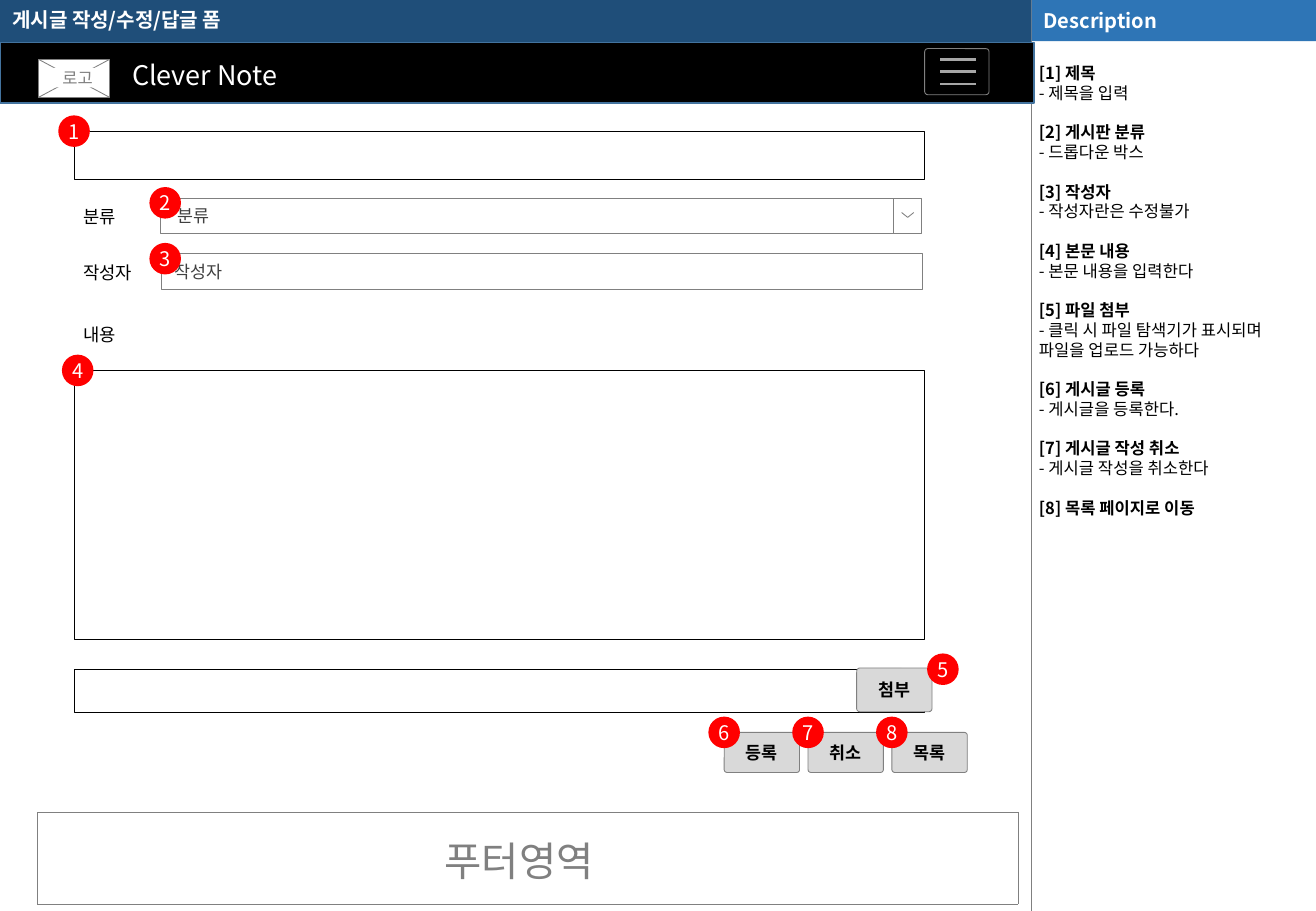
from typing import NamedTuple

from lxml import etree
from pptx import Presentation
from pptx.dml.color import RGBColor
from pptx.enum.shapes import MSO_CONNECTOR, MSO_SHAPE as Shape
from pptx.enum.text import MSO_ANCHOR as Anchor, MSO_AUTO_SIZE, PP_ALIGN as Align
from pptx.oxml.ns import qn
from pptx.util import Inches, Pt

FONT = "Noto Sans CJK KR"
WHITE = RGBColor(0xFF, 0xFF, 0xFF)
BLACK = RGBColor(0x00, 0x00, 0x00)
NAVY = RGBColor(0x1F, 0x4E, 0x79)
BLUE = RGBColor(0x2E, 0x75, 0xB6)
EDGE_BLUE = RGBColor(0x43, 0x73, 0x9E)
GRAY = RGBColor(0x80, 0x80, 0x80)
DARK_GRAY = RGBColor(0x40, 0x40, 0x40)
MID_GRAY = RGBColor(0xA6, 0xA6, 0xA6)
LIGHT_GRAY = RGBColor(0xD9, 0xD9, 0xD9)
RED = RGBColor(0xFF, 0x00, 0x00)

NOTES = [
    ("[1] 제목", "- 제목을 입력"),
    ("[2] 게시판 분류", "- 드롭다운 박스"),
    ("[3] 작성자", "- 작성자란은 수정불가"),
    ("[4] 본문 내용", "- 본문 내용을 입력한다"),
    ("[5] 파일 첨부", "- 클릭 시 파일 탐색기가 표시되며 파일을 업로드 가능하다"),
    ("[6] 게시글 등록", "- 게시글을 등록한다."),
    ("[7] 게시글 작성 취소", "- 게시글 작성을 취소한다"),
    ("[8] 목록 페이지로 이동",),
]


class Box(NamedTuple):
    left: float
    top: float
    width: float
    height: float

    def inner(self, left, top, width, height):
        return Box(self.left + left, self.top + top, width, height)

    def lengths(self):
        return [Inches(value) for value in self]


def style_para(para, size, color, bold=False, align=Align.LEFT):
    para.alignment = align
    font = para.font
    font.name, font.size, font.bold = FONT, Pt(size), bold
    font.color.rgb = color
    east_asian = etree.SubElement(font._element, qn("a:ea"))
    east_asian.set("typeface", FONT)


def set_frame(frame, inset=0.0, anchor=Anchor.MIDDLE, wrap=True):
    frame.auto_size = MSO_AUTO_SIZE.NONE
    frame.word_wrap = wrap
    frame.vertical_anchor = anchor
    frame.margin_left = frame.margin_right = Inches(inset)
    frame.margin_top = frame.margin_bottom = 0


def write(shape, text, size, color, bold=False, align=Align.LEFT, inset=0.0, wrap=True):
    set_frame(shape.text_frame, inset, wrap=wrap)
    para = shape.text_frame.paragraphs[0]
    para.text = text
    para.space_before = 0
    style_para(para, size, color, bold, align)


def add_box(slide, box, fill=WHITE, line=None, width=0.5, kind=Shape.RECTANGLE):
    shape = slide.shapes.add_shape(kind, *box.lengths())
    shape.shadow.inherit = False
    if kind == Shape.ROUNDED_RECTANGLE:
        shape.adjustments[0] = 0.07
    if fill is None:
        shape.fill.background()
    else:
        shape.fill.solid()
        shape.fill.fore_color.rgb = fill
    if line is None:
        shape.line.fill.background()
    else:
        shape.line.color.rgb = line
        shape.line.width = Pt(width)
    return shape


def add_line(slide, x1, y1, x2, y2, color, width):
    line = slide.shapes.add_connector(
        MSO_CONNECTOR.STRAIGHT, Inches(x1), Inches(y1), Inches(x2), Inches(y2))
    line.line.color.rgb = color
    line.line.width = Pt(width)
    etree.SubElement(line._element.spPr, qn("a:effectLst"))


def add_label(slide, box, text, size, color, align=Align.LEFT):
    label = slide.shapes.add_textbox(*box.lengths())
    write(label, text, size, color, align=align, inset=0.1, wrap=False)


def add_button(slide, box, text):
    button = add_box(slide, box, LIGHT_GRAY, GRAY, kind=Shape.ROUNDED_RECTANGLE)
    write(button, text, 10.3, BLACK, True, Align.CENTER)


def add_badge(slide, number, x, y):
    size = 0.26
    badge = add_box(slide, Box(x - size / 2, y - size / 2, size, size), RED, kind=Shape.OVAL)
    write(badge, str(number), 11.9, WHITE, align=Align.CENTER, wrap=False)


def draw_title(slide, box):
    title = slide.shapes.title
    title.left, title.top, title.width, title.height = box.lengths()
    title.fill.solid()
    title.fill.fore_color.rgb = NAVY
    write(title, "게시글 작성/수정/답글 폼", 11.9, WHITE, True, inset=0.1)
    title.text_frame.margin_bottom = Inches(0.03)


def draw_description(slide, box):
    add_line(slide, box.left, box.top, box.left, box.top + box.height, GRAY, 0.25)
    heading = add_box(slide, box.inner(0, 0, box.width, 0.34), BLUE)
    write(heading, "Description", 11.9, WHITE, True, inset=0.1)

    # Numbered notes
    body = slide.placeholders[1]
    body.left, body.top, body.width, body.height = box.inner(0.02, 0.52, 2.03, 6.9).lengths()
    frame = body.text_frame
    set_frame(frame, 0.04, Anchor.TOP)
    for index, note in enumerate(NOTES):
        for row, text in enumerate(note):
            first = index == row == 0
            para = frame.paragraphs[0] if first else frame.add_paragraph()
            para.text = text
            para.line_spacing = Pt(11.7)
            para.space_before = Pt(11.7 if index and row == 0 else 0)
            properties = para._p.get_or_add_pPr()
            properties.set("marL", "0")
            properties.set("indent", "0")
            etree.SubElement(properties, qn("a:buNone"))
            style_para(para, 9.8, BLACK, bold=row == 0)


def draw_header(slide, box):
    add_box(slide, box, BLACK, EDGE_BLUE, 1)
    add_label(slide, box.inner(0.83, 0.08, 1.71, 0.37), "Clever Note", 16, WHITE, Align.CENTER)

    # Crossed logo frame
    logo = box.inner(0.32, 0.14, 0.58, 0.31)
    right, bottom = logo.left + logo.width, logo.top + logo.height
    add_box(slide, logo, WHITE, GRAY)
    add_line(slide, logo.left, bottom, right, logo.top, GRAY, 0.5)
    add_line(slide, logo.left, logo.top, right, bottom, GRAY, 0.5)
    label = add_box(slide, logo.inner(0.1, 0.07, 0.44, 0.16))
    write(label, "로고", 9.8, GRAY, align=Align.CENTER)

    # Menu icon
    menu = box.inner(7.61, 0.05, 0.53, 0.38)
    add_box(slide, menu, None, GRAY, kind=Shape.ROUNDED_RECTANGLE)
    for row in range(3):
        y = menu.top + 0.09 + row * 0.1
        add_line(slide, menu.left + 0.13, y, menu.left + 0.42, y, MID_GRAY, 1.5)


def draw_form(slide, box):
    # Title, content and file fields
    for top, height in ((0, 0.4), (1.97, 2.21), (4.43, 0.35)):
        add_box(slide, box.inner(0, top, box.width, height), WHITE, BLACK, 0.25)
    for text, top in (("분류", 0.56), ("작성자", 1.02), ("내용", 1.53)):
        add_label(slide, box.inner(-0.02, top, 0.64, 0.28), text, 10.5, BLACK)

    # Category drop-down and author field
    category = add_box(slide, box.inner(0.71, 0.55, 6.03, 0.29), WHITE, GRAY)
    write(category, "분류", 10.3, DARK_GRAY, inset=0.14)
    arrow = box.inner(6.74, 0.55, 0.23, 0.29)
    add_box(slide, arrow, WHITE, GRAY)
    x, y = arrow.left + 0.07, arrow.top + 0.12
    builder = slide.shapes.build_freeform(Inches(x), Inches(y))
    builder.add_line_segments(
        [(Inches(x + 0.05), Inches(y + 0.04)), (Inches(x + 0.1), Inches(y))], close=False)
    chevron = builder.convert_to_shape()
    chevron.shadow.inherit = False
    chevron.fill.background()
    chevron.line.color.rgb = GRAY
    chevron.line.width = Pt(0.5)
    author = add_box(slide, box.inner(0.72, 1.01, 6.26, 0.29), WHITE, GRAY)
    write(author, "작성자", 10.3, DARK_GRAY, inset=0.11)

    # Buttons, then the numbered badges on top
    add_button(slide, box.inner(6.44, 4.42, 0.62, 0.36), "첨부")
    badges = [(0, 0), (0.75, 0.59), (0.75, 1.05), (0.03, 1.97), (7.15, 4.43)]
    for column, text in enumerate(("등록", "취소", "목록")):
        left = 5.35 + column * 0.69
        add_button(slide, box.inner(left, 4.95, 0.62, 0.33), text)
        badges.append((left, 4.95))
    for number, (x, y) in enumerate(badges, 1):
        add_badge(slide, number, box.left + x, box.top + y)


def draw_footer(slide, box):
    table = slide.shapes.add_table(1, 1, *box.lengths()).table
    table.first_row = table.horz_banding = False
    cell = table.cell(0, 0)
    properties = cell._tc.get_or_add_tcPr()
    for side in ("a:lnL", "a:lnR", "a:lnT", "a:lnB"):
        border = etree.SubElement(properties, qn(side), w=str(Pt(0.25)))
        fill = etree.SubElement(border, qn("a:solidFill"))
        etree.SubElement(fill, qn("a:srgbClr"), val=str(GRAY))
    cell.fill.background()
    label = add_box(slide, box.inner(3.35, 0.19, 1.36, 0.4))
    write(label, "푸터영역", 24, GRAY, wrap=False)


def main():
    deck = Presentation()
    deck.slide_width, deck.slide_height = Inches(10.83), Inches(7.5)
    page = deck.slides.add_slide(deck.slide_layouts[1])
    draw_title(page, Box(0, 0, 8.49, 0.35))
    draw_description(page, Box(8.49, 0, 2.34, 7.5))
    draw_header(page, Box(0, 0.35, 8.51, 0.5))
    draw_form(page, Box(0.61, 1.08, 7, 5.28))
    draw_footer(page, Box(0.31, 6.69, 8.07, 0.75))
    deck.save("out.pptx")


if __name__ == "__main__":
    main()
